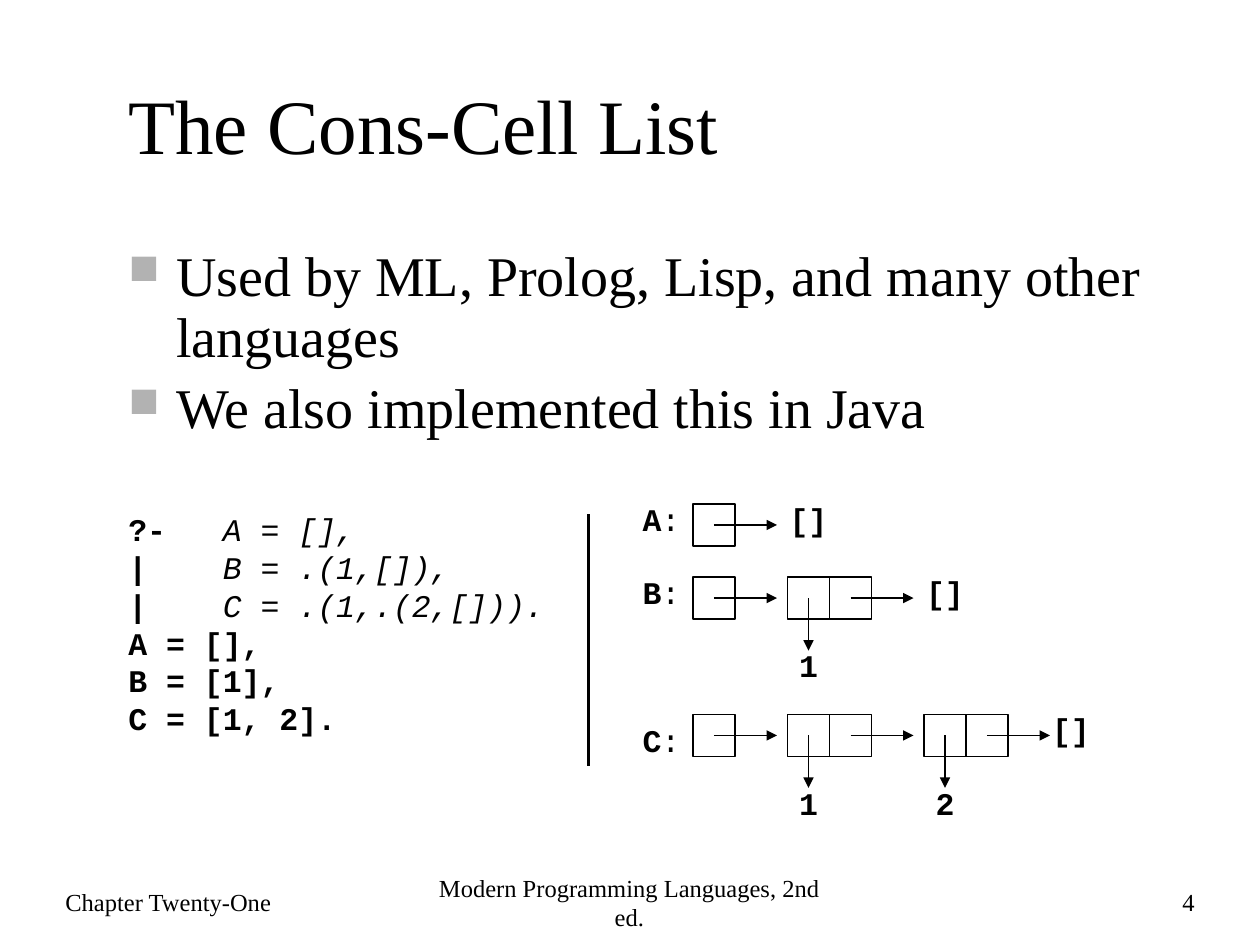
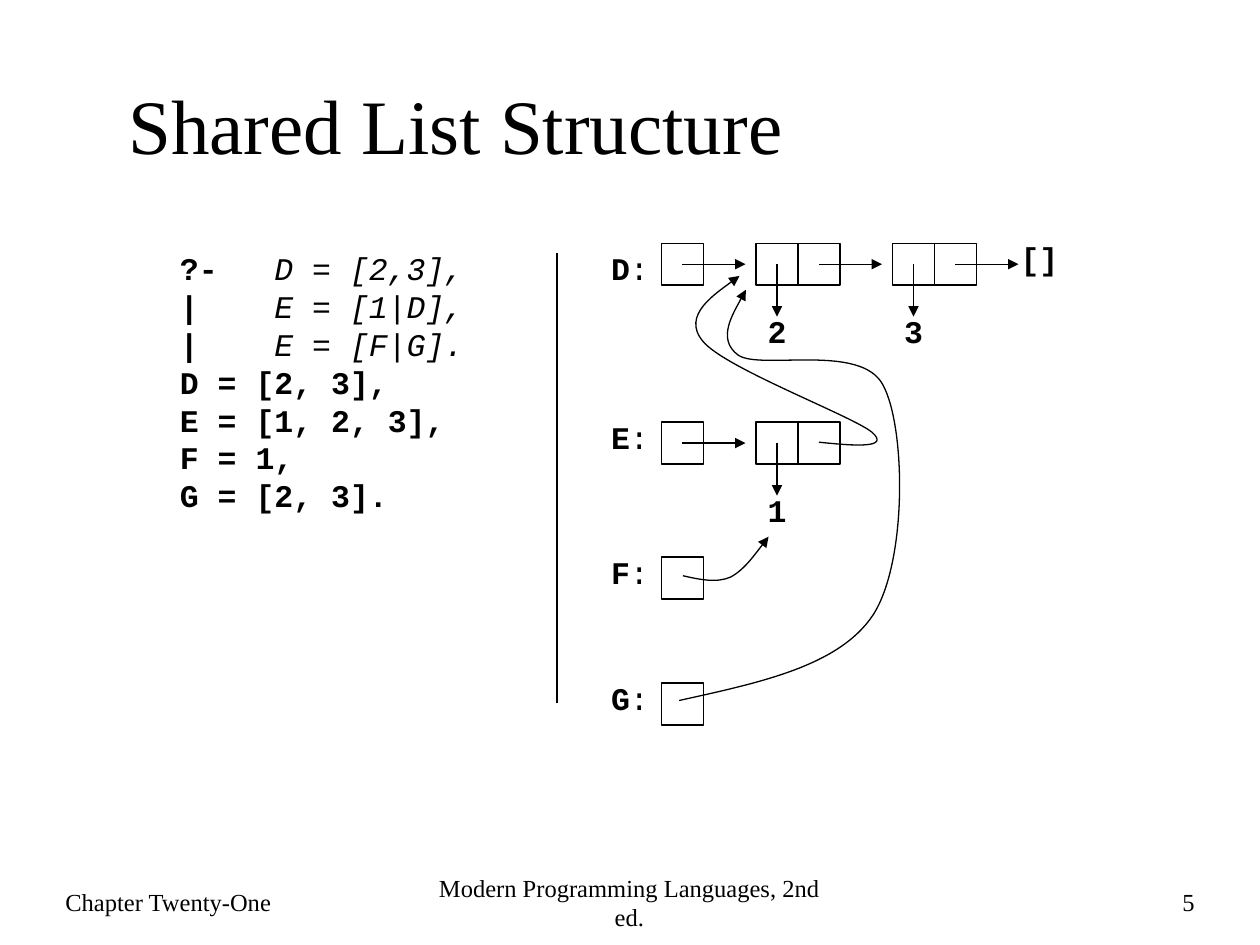
from pptx import Presentation
from pptx.dml.color import RGBColor
from pptx.enum.shapes import MSO_CONNECTOR, MSO_SHAPE
from pptx.enum.text import MSO_ANCHOR, PP_ALIGN
from pptx.oxml.ns import qn
from pptx.util import Inches, Pt
from lxml import etree

LEFT, CENTER, RIGHT = PP_ALIGN.LEFT, PP_ALIGN.CENTER, PP_ALIGN.RIGHT
TOP, MIDDLE = MSO_ANCHOR.TOP, MSO_ANCHOR.MIDDLE
RECT, STRAIGHT = MSO_SHAPE.RECTANGLE, MSO_CONNECTOR.STRAIGHT

BLACK = RGBColor(0x00, 0x00, 0x00)
BULLET_GRAY = RGBColor(0xB2, 0xB2, 0xB2)
SERIF, MONO = "Times New Roman", "Courier New"

TITLE = dict(name=SERIF, size=Pt(44))
BODY = dict(name=SERIF, size=Pt(32))
FOOTER = dict(name=SERIF, size=Pt(14))
CODE = dict(name=MONO, size=Pt(18), bold=False)
CODE_BOLD = dict(CODE, bold=True)
CODE_ITALIC = dict(CODE, italic=True)

# List diagram measures, in inches
CELL = 1 / 3
HALF = CELL / 2
PAIR_START = 0.75           # from the variable's cell to the first pair
PAIR_STEP = 13 / 12         # from one pair to the next
ARROW = 0.5
VALUE_ARROW = 5 / 12
LABEL_W, LABEL_H = 0.5, 0.4
NUDGE = 1 / 12


def add_text(s, box, paragraphs, align=LEFT, anchor=TOP, wrap=True):
    """Each paragraph is a list of (text, format) runs."""
    tf = s.shapes.add_textbox(*map(Inches, box)).text_frame
    tf.word_wrap, tf.vertical_anchor = wrap, anchor
    for i, runs in enumerate(paragraphs):
        p = tf.paragraphs[0] if i == 0 else tf.add_paragraph()
        p.alignment = align
        for text, fmt in runs:
            r = p.add_run()
            r.text = text
            r.font.color.rgb = BLACK
            for key, value in fmt.items():
                setattr(r.font, key, value)
    return tf


def style_line(shape, width=0.75, arrow=False):
    shape.line.color.rgb = BLACK
    shape.line.width = Pt(width)
    if arrow:
        ln = shape.line._get_or_add_ln()
        etree.SubElement(ln, qn("a:tailEnd"), type="triangle")


def add_line(s, x1, y1, x2, y2, width=0.75, arrow=False):
    line = s.shapes.add_connector(STRAIGHT, *map(Inches, (x1, y1, x2, y2)))
    style_line(line, width, arrow)
    etree.SubElement(line._element.spPr, qn("a:effectLst"))


def add_cell(s, x, y):
    cell = s.shapes.add_shape(RECT, *map(Inches, (x, y, CELL, CELL)))
    cell.shadow.inherit = False
    cell.fill.background()
    style_line(cell)


def add_curve(s, *points):
    """Arrow along cubic curves: a start, then three points for each curve."""
    (x0, y0), *rest = [(Inches(x), Inches(y)) for x, y in points]
    builder = s.shapes.build_freeform(x0, y0)
    builder.add_line_segments(rest, close=False)
    curve = builder.convert_to_shape()
    curve.shadow.inherit = False
    curve.fill.background()
    style_line(curve, arrow=True)
    # Turn every three line segments into one cubic curve
    outline = curve._element.find(".//" + qn("a:path"))
    segments = outline.findall(qn("a:lnTo"))
    for i in range(0, len(segments), 3):
        bezier = etree.SubElement(outline, qn("a:cubicBezTo"))
        for segment in segments[i:i + 3]:
            bezier.append(segment[0])
            outline.remove(segment)


def add_label(s, x, y, *runs):
    add_text(s, (x, y, LABEL_W, LABEL_H), [runs], CENTER, wrap=False)


def add_variable(s, x, y, name, label_dy=-NUDGE):
    """A named cell."""
    add_label(s, x - LABEL_W, y + label_dy, (name, CODE_BOLD), (":", CODE))
    add_cell(s, x, y)


def add_list(s, x, y, name, values, label_dy=-NUDGE, nil=True, nil_dx=0):
    """A named cell, its chain of cons pairs and the closing []."""
    add_variable(s, x, y, name, label_dy)
    mid = y + HALF
    add_line(s, x + HALF, mid, x + HALF + ARROW, mid, arrow=True)
    for i, value in enumerate(values):
        px = x + PAIR_START + i * PAIR_STEP
        head, rest = px + HALF, px + CELL + HALF
        add_cell(s, px, y)
        add_cell(s, px + CELL, y)
        add_line(s, head, mid, head, mid + VALUE_ARROW, arrow=True)
        add_label(s, head - LABEL_W / 2, y + 0.5, (value, CODE_BOLD))
        if nil or i < len(values) - 1:
            add_line(s, rest, mid, rest + ARROW, mid, arrow=True)
    if nil:
        nil_x = x + HALF + ARROW + len(values) * PAIR_STEP + nil_dx
        add_label(s, nil_x, y - NUDGE, ("[]", CODE_BOLD))


def add_session(s, box, queries, answers):
    """Prolog dialogue: italic queries after prompts, then bold answers."""
    prompts = ["?-"] + ["|"] * (len(queries) - 1)
    lines = [[(prompt.ljust(5), CODE_BOLD), (query, CODE_ITALIC)]
             for prompt, query in zip(prompts, queries)]
    add_text(s, box, lines + [[(answer, CODE_BOLD)] for answer in answers])


def add_bullets(s, box, items):
    tf = add_text(s, box, [[(item, BODY)] for item in items])
    for p in tf.paragraphs:
        p.line_spacing, p.space_before = 0.9, Pt(6.4)
        pPr = p._p.get_or_add_pPr()
        pPr.set("marL", str(Inches(0.38)))
        pPr.set("indent", str(-Inches(0.38)))
        color = etree.SubElement(pPr, qn("a:buClr"))
        etree.SubElement(color, qn("a:srgbClr"), val=str(BULLET_GRAY))
        etree.SubElement(pPr, qn("a:buSzPct"), val="75000")
        etree.SubElement(pPr, qn("a:buChar"), char="■")


def new_slide(prs, title, number):
    """Blank slide with the shared title and footers."""
    s = prs.slides.add_slide(prs.slide_layouts[6])
    add_text(s, (0.92, 0.38, 8.5, 1.21), [[(title, TITLE)]], anchor=MIDDLE)
    for x, w, text, align in (
            (0.42, 2.25, "Chapter Twenty-One", LEFT),
            (3.33, 3.33, "Modern Programming Languages, 2nd ed.", CENTER),
            (7.5, 2.08, str(number), RIGHT)):
        add_text(s, (x, 6.91, w, 0.5), [[(text, FOOTER)]], align, MIDDLE, False)
    return s


def cons_cell_slide(prs):
    s = new_slide(prs, "The Cons-Cell List", 4)
    add_bullets(s, (0.92, 1.92, 8.5, 1.67), [
        "Used by ML, Prolog, Lisp, and many other languages",
        "We also implemented this in Java"])
    add_session(s, (0.92, 4, 3.67, 2.22),
                ["A = [],", "B = .(1,[]),", "C = .(1,.(2,[]))."],
                ["A = [],", "B = [1],", "C = [1, 2]."])
    add_line(s, 4.67, 4.08, 4.67, 6.08, width=1.5)
    # Lists of growing length
    x = 5.5
    add_list(s, x, 4, "A", [])
    add_list(s, x, 4.58, "B", ["1"])
    add_list(s, x, 5.67, "C", ["1", "2"], label_dy=0, nil_dx=-NUDGE)


def shared_list_slide(prs):
    s = new_slide(prs, "Shared List Structure", 5)
    add_session(s, (1.33, 1.93, 3.67, 2.52),
                ["D = [2,3],", "E = [1|D],", "E = [F|G]."],
                ["D = [2, 3],", "E = [1, 2, 3],", "F = 1,", "G = [2, 3]."])
    add_line(s, 4.42, 2.01, 4.42, 5.58, width=1.5)
    # Lists and single variables
    x = 5.25
    add_list(s, x, 1.93, "D", ["2", "3"], label_dy=0, nil_dx=-NUDGE)
    add_list(s, x, 3.35, "E", ["1"], nil=False)
    add_variable(s, x, 4.42, "F")
    add_variable(s, x, 5.42, "G")
    # Shared references: E to D, F to 1, G to D
    add_curve(s, (6.5, 3.51), (6.79, 3.54), (7.07, 3.56), (6.92, 3.43),
              (6.76, 3.3), (5.75, 2.92), (5.58, 2.71),
              (5.4, 2.5), (5.87, 2.19), (5.87, 2.19))
    add_curve(s, (5.42, 4.57), (5.55, 4.6), (5.69, 4.63), (5.8, 4.58),
              (5.91, 4.52), (6.1, 4.26), (6.1, 4.26))
    add_curve(s, (5.39, 5.56), (6.02, 5.42), (6.66, 5.29), (6.93, 4.88),
              (7.2, 4.46), (7.19, 3.4), (7.01, 3.06),
              (6.84, 2.72), (6.04, 2.94), (5.86, 2.82),
              (5.68, 2.69), (5.92, 2.3), (5.92, 2.3))


prs = Presentation()
prs.slide_width, prs.slide_height = Inches(10), Inches(7.5)
cons_cell_slide(prs)
shared_list_slide(prs)
prs.save("out.pptx")
